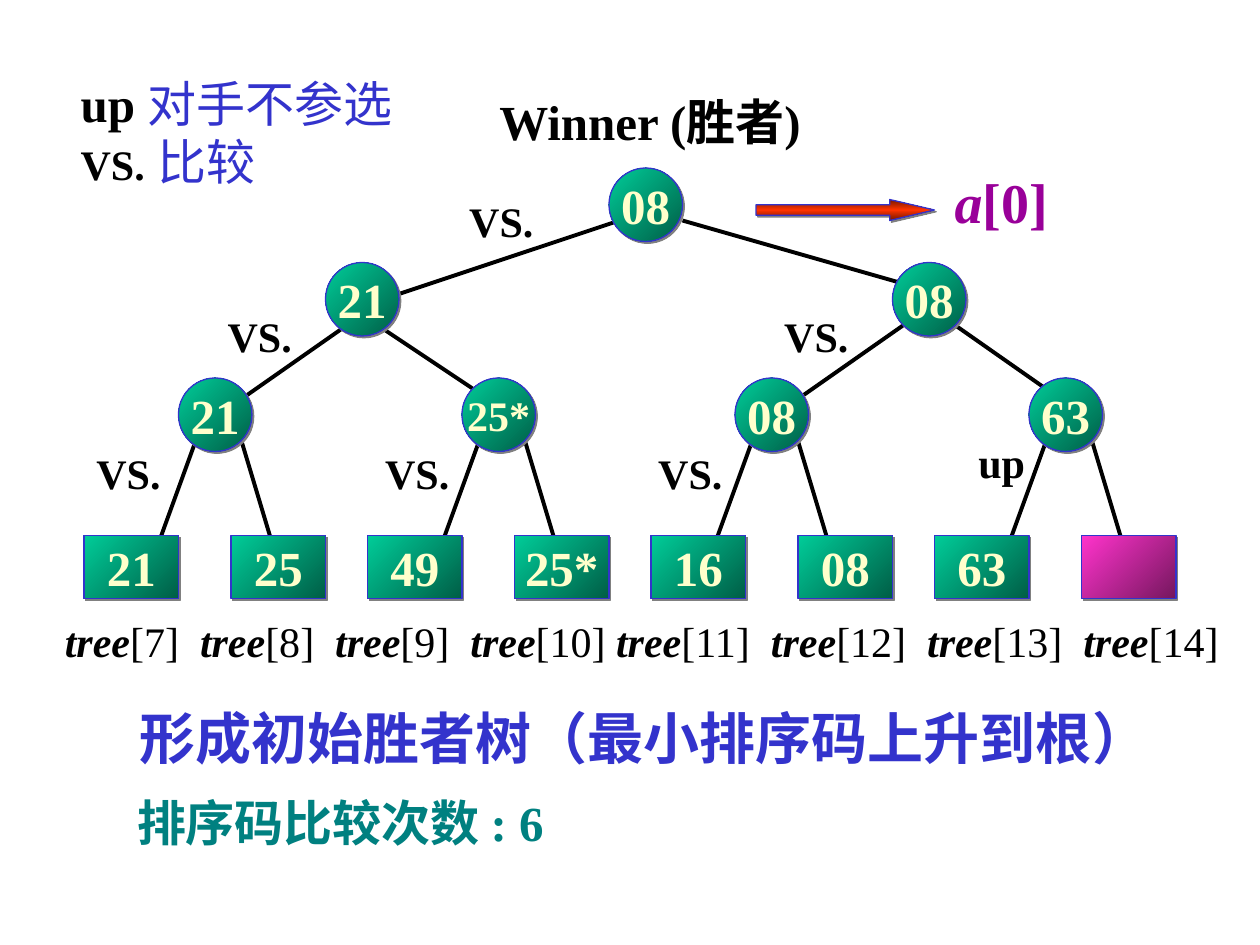
from lxml import etree
from pptx import Presentation
from pptx import util as u
from pptx.dml.color import RGBColor
from pptx.enum import shapes, text
from pptx.oxml.ns import qn

PX = 9525  # EMU per px, 96 px to the inch
FONT = "Times New Roman"
BLACK, BLUE, CREAM = "000000", "3333CC", "FFFFCC"
TEAL, PURPLE = "008080", "990099"
GREEN_FILL = [(0, "005E46"), (100, "00CC99")]
PINK_FILL = [(0, "75175E"), (100, "FF33CC")]
RED_FILL = [(0, "751700"), (50, "FF3300"), (100, "751700")]

NODE_SIZE = 56
LEAF_WIDTH, LEAF_HEIGHT, LEAF_TOP = 72, 48, 408

# left, top, label, text size
UPPER_NODES = [(464, 128, "08", 28), (248, 200, "21", 28), (680, 200, "08", 28)]
PARENT_TOP = 288
# left, label, text size, left of first leaf, labels of both leaves
PARENTS = [
    (136, "21", 28, 64, ("21", "25")),
    (352, "25*", 24, 280, ("49", "25*")),
    (560, "08", 28, 496, ("16", "08")),
    (784, "63", 28, 712, ("63", None)),
]
LEAF_STEP = 112
UPPER_EDGES = [
    (520, 168, 688, 216), (304, 224, 472, 168),
    (688, 248, 608, 304), (288, 248, 360, 296),
    (728, 248, 808, 304), (264, 248, 184, 304),
]
VERSUS_PLACES = [(64, 336), (284, 336), (492, 336), (164, 232), (348, 144), (588, 232)]
INDEX_TABS = [103, 206, 309, 420, 538, 657, 776]


def px(*lengths):
    return [u.Emu(length * PX) for length in lengths]


def color(value):
    return RGBColor.from_string(value)


def add_run(paragraph, content, size, hue, bold=True, italic=False):
    run = paragraph.add_run()
    run.text = content
    font = run.font
    font.name, font.size = FONT, u.Pt(size)
    font.bold, font.italic = bold, italic
    font.color.rgb = color(hue)


def add_label(slide, box, *lines, wrap=False):
    """Text box; each line is a list of runs. Returns its last paragraph."""
    frame = slide.shapes.add_textbox(*px(*box)).text_frame
    frame.word_wrap = wrap
    frame.auto_size = text.MSO_AUTO_SIZE.SHAPE_TO_FIT_TEXT
    for number, runs in enumerate(lines):
        paragraph = frame.add_paragraph() if number else frame.paragraphs[0]
        for run in runs:
            add_run(paragraph, *run)
    return paragraph


def add_edge(slide, *ends):
    edge = slide.shapes.add_connector(shapes.MSO_CONNECTOR.STRAIGHT, *px(*ends))
    edge.line.color.rgb = color(BLACK)
    edge.line.width = u.Pt(2.25)
    etree.SubElement(edge._element.spPr, qn("a:effectLst"))


def set_gradient(shape, stops, angle):
    shape.fill.gradient()
    shape.fill.gradient_angle = angle
    stop_list = shape._element.spPr.find(".//" + qn("a:gsLst"))
    for stop in list(stop_list):
        stop_list.remove(stop)
    for percent, hue in stops:
        stop = etree.SubElement(stop_list, qn("a:gs"), pos=str(percent * 1000))
        etree.SubElement(stop, qn("a:srgbClr"), val=hue)


def set_shadow(shape):
    shape.shadow.inherit = False
    effects = shape._element.spPr.find(qn("a:effectLst"))
    shadow = etree.SubElement(effects, qn("a:outerShdw"), dist="17960",
                              dir="2700000", algn="ctr", rotWithShape="0")
    etree.SubElement(shadow, qn("a:srgbClr"), val="808080")


def add_block(slide, kind, box, stops, label=None, size=28, angle=135):
    shape = slide.shapes.add_shape(kind, *px(*box))
    set_gradient(shape, stops, angle)
    set_shadow(shape)
    shape.line.color.rgb = color(BLUE)
    shape.line.width = u.Pt(0.75)
    if label:
        frame = shape.text_frame
        frame.word_wrap = False
        frame.vertical_anchor = text.MSO_ANCHOR.MIDDLE
        frame.paragraphs[0].alignment = text.PP_ALIGN.CENTER
        add_run(frame.paragraphs[0], label, size, CREAM)
    return shape


def add_node(slide, left, top, label, size):
    add_block(slide, shapes.MSO_SHAPE.OVAL, (left, top, NODE_SIZE, NODE_SIZE),
              GREEN_FILL, label, size)


def add_tree(slide):
    # Edges lie behind the nodes
    for ends in UPPER_EDGES:
        add_edge(slide, *ends)
    for left, *_ in PARENTS:
        add_edge(slide, left + 16, 328, left - 16, 416)
        add_edge(slide, left + 48, 336, left + 72, 416)
    for node in UPPER_NODES:
        add_node(slide, *node)
    for left, label, size, leaf_left, leaves in PARENTS:
        add_node(slide, left, PARENT_TOP, label, size)
        for number, leaf in enumerate(leaves):
            box = (leaf_left + number * LEAF_STEP, LEAF_TOP, LEAF_WIDTH, LEAF_HEIGHT)
            add_block(slide, shapes.MSO_SHAPE.RECTANGLE, box,
                      GREEN_FILL if leaf else PINK_FILL, leaf)


def add_index_row(slide):
    runs = []
    for index in range(7, 15):
        runs.append(("tree", 24, BLACK, True, True))
        gap = "\t" if index < 14 else ""
        runs.append((f"[{index}]{gap}", 24, BLACK, False))
    paragraph = add_label(slide, (40, 464, 904, 48), runs, wrap=True)
    paragraph.space_before = u.Pt(15)
    tabs = etree.SubElement(paragraph._p.get_or_add_pPr(), qn("a:tabLst"))
    for position in INDEX_TABS:
        etree.SubElement(tabs, qn("a:tab"), pos=str(position * PX), algn="l")


def add_winner_arrow(slide):
    arrow = add_block(slide, shapes.MSO_SHAPE.RIGHT_ARROW, (576, 152, 136, 16),
                      RED_FILL, angle=270)
    arrow.adjustments[0], arrow.adjustments[1] = 0.5, 2.13
    add_label(slide, (718, 123, 96, 61),
              [("a", 32, PURPLE, True, True), ("[0]", 32, PURPLE)])


def main():
    presentation = Presentation()
    presentation.slide_width, presentation.slide_height = px(960, 720)
    slide = presentation.slides.add_slide(presentation.slide_layouts[6])

    add_tree(slide)
    add_index_row(slide)
    add_winner_arrow(slide)

    # Match results beside the edges
    for left, top in VERSUS_PLACES:
        add_label(slide, (left, top, 68, 48), [("VS.", 24, BLACK)])
    add_label(slide, (736, 328, 55, 48), [("up", 24, BLACK)])

    # Headings and legend
    add_label(slide, (371, 65, 268, 55), [("Winner (胜者)", 28, BLACK)])
    add_label(slide, (91, 531, 794, 61),
              [(" ", 20, BLACK, False),
               ("形成初始胜者树（最小排序码上升到根）", 32, BLUE)])
    add_label(slide, (95, 599, 357, 55), [("排序码比较次数 : 6", 28, TEAL)])
    add_label(slide, (52, 51, 276, 100),
              [("up ", 28, BLACK), ("对手不参选", 28, BLUE, False)],
              [("VS.", 24, BLACK), (" 比较", 28, BLUE, False)])

    presentation.save("out.pptx")


if __name__ == "__main__":
    main()
